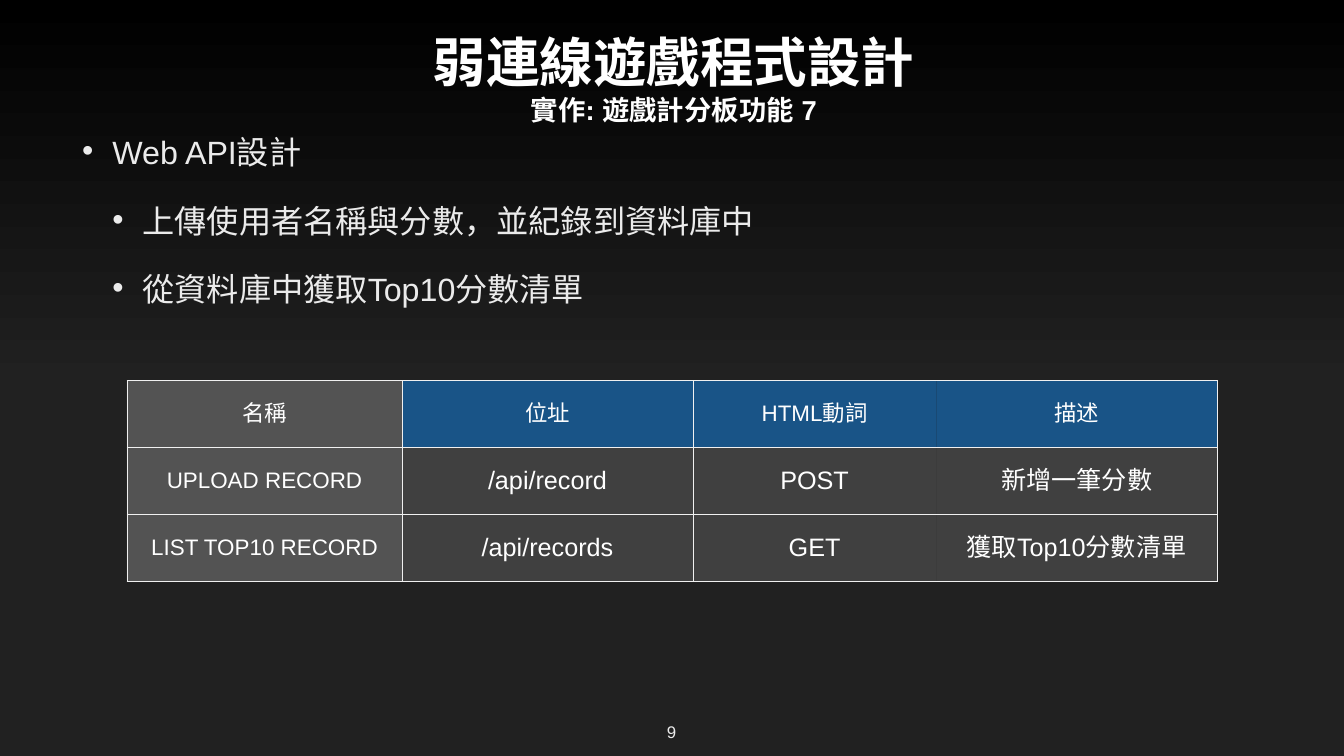
from copy import deepcopy
from dataclasses import dataclass

from lxml import etree
from pptx import Presentation
from pptx import util as u
from pptx.dml.color import RGBColor
from pptx.enum import text
from pptx.oxml.ns import qn

W, H = 26.67, 15
NO_STYLE = "{2D5ABB26-0587-4C30-8999-92F81FD0307C}"


@dataclass(frozen=True)
class Theme:
    """Colours as hex, opacities in percent and type sizes in points."""
    font: str = "Arial"
    top: str = "000000"
    base: str = "212121"
    white: str = "FFFFFF"
    body: str = "EBEBEB"
    rule: str = "F0F0F0"
    header: tuple = ("1861A1", 80)
    label: tuple = ("656565", 75)
    cell: tuple = ("6D6D6D", 41)
    title_pt: float = 76.5
    subtitle_pt: float = 39.1
    body_pt: float = 46
    label_pt: float = 32
    cell_pt: float = 36
    number_pt: float = 24


T = Theme()
ROWS = [
    ["名稱", "位址", "HTML動詞", "描述"],
    ["UPLOAD RECORD", "/api/record", "POST", "新增一筆分數"],
    ["LIST TOP10 RECORD", "/api/records", "GET", "獲取Top10分數清單"],
]
BULLETS = [
    (0, "Web API設計"),
    (1, "上傳使用者名稱與分數，並紀錄到資料庫中"),
    (1, "從資料庫中獲取Top10分數清單"),
]


def write(p, words, size, color=T.white, bold=False, align=text.PP_ALIGN.CENTER):
    """Write one formatted run into a paragraph."""
    p.alignment = align
    r = p.add_run()
    r.text = words
    f = r.font
    f.name, f.size, f.bold = T.font, u.Pt(size), bold
    f.color.rgb = RGBColor.from_string(color)
    etree.SubElement(r._r.get_or_add_rPr(), qn("a:ea"), typeface=T.font)


def add_frame(slide, box, anchor=text.MSO_ANCHOR.MIDDLE, wrap=True):
    """Add a text box and return its text frame."""
    tf = slide.shapes.add_textbox(*map(u.Inches, box)).text_frame
    tf.word_wrap, tf.vertical_anchor = wrap, anchor
    tf.margin_left = tf.margin_right = tf.margin_top = tf.margin_bottom = u.Inches(0.06)
    return tf


def add_background(slide):
    """Fade the slide from black to dark grey over its upper half."""
    fill = slide.background.fill
    fill.gradient()
    fill.gradient_angle = 270
    for stop, color, position in zip(fill.gradient_stops, (T.top, T.base), (0, 0.51)):
        stop.color.rgb = RGBColor.from_string(color)
        stop.position = position
    stops = slide._element.find(".//" + qn("a:gsLst"))
    last = deepcopy(stops[-1])
    last.set("pos", "100000")
    stops.append(last)


def add_title(slide, box):
    """Place the title and its subtitle."""
    tf = add_frame(slide, box)
    write(tf.paragraphs[0], "弱連線遊戲程式設計", T.title_pt, bold=True)
    write(tf.add_paragraph(), "實作: 遊戲計分板功能 7", T.subtitle_pt, bold=True)


def add_bullets(slide, box, indent=0.6):
    """Place the bulleted list with hanging indents."""
    tf = add_frame(slide, box, text.MSO_ANCHOR.TOP)
    for i, (level, words) in enumerate(BULLETS):
        p = tf.add_paragraph() if i else tf.paragraphs[0]
        p.level, p.line_spacing = level, 0.7
        if i:
            p.space_before = u.Pt(59)
        pPr = p._p.get_or_add_pPr()
        pPr.set("marL", str(u.Inches(indent * (level + 1))))
        pPr.set("indent", str(-u.Inches(indent)))
        color = etree.SubElement(pPr, qn("a:buClr"))
        etree.SubElement(color, qn("a:srgbClr"), val=T.body)
        etree.SubElement(pPr, qn("a:buFont"), typeface=T.font)
        etree.SubElement(pPr, qn("a:buChar"), char="•")
        write(p, words, T.body_pt, T.body, align=text.PP_ALIGN.LEFT)


def style_cell(cell, fill, sides):
    """Give a cell a translucent fill and thin rules on the named sides."""
    color, opacity = fill
    cell.fill.solid()
    cell.fill.fore_color.rgb = RGBColor.from_string(color)
    tcPr = cell._tc.get_or_add_tcPr()
    rgb = tcPr.find(".//" + qn("a:srgbClr"))
    etree.SubElement(rgb, qn("a:alpha"), val=str(opacity * 1000))
    for i, side in enumerate(sides):
        ln = etree.Element(qn("a:ln" + side), w=str(u.Pt(1)))
        solid = etree.SubElement(ln, qn("a:solidFill"))
        etree.SubElement(solid, qn("a:srgbClr"), val=T.rule)
        tcPr.insert(i, ln)


def add_api_table(slide, box, widths):
    """Place the API table with a header row and a label column."""
    frame = slide.shapes.add_table(len(ROWS), len(widths), *map(u.Inches, box))
    table = frame.table
    table.first_row = table.horz_banding = False
    table._tbl.tblPr.find(qn("a:tableStyleId")).text = NO_STYLE
    for column, width in zip(table.columns, widths):
        column.width = u.Inches(width)
    for i, row in enumerate(ROWS):
        for j, words in enumerate(row):
            cell = table.cell(i, j)
            cell.vertical_anchor = text.MSO_ANCHOR.MIDDLE
            cell.margin_left = cell.margin_right = u.Inches(0.06)
            cell.margin_top = cell.margin_bottom = u.Inches(0.06)
            fill = T.label if j == 0 else T.header if i == 0 else T.cell
            left = "L" if j < 2 else ""
            right = "R" if j in (0, len(widths) - 1) else ""
            style_cell(cell, fill, left + right + "TB")
            size = T.label_pt if i == 0 or j == 0 else T.cell_pt
            write(cell.text_frame.paragraphs[0], words, size)


def add_page_number(slide, box):
    """Place the page number."""
    tf = add_frame(slide, box, wrap=False)
    write(tf.paragraphs[0], "9", T.number_pt, T.body)


def main():
    """Build and save the slide."""
    prs = Presentation()
    prs.slide_width, prs.slide_height = u.Inches(W), u.Inches(H)
    slide = prs.slides.add_slide(prs.slide_layouts[6])
    widths = (5.46, 5.77, 4.83, 5.57)
    add_background(slide)
    add_title(slide, (1.6, 0.36, 23.54, 2.36))
    add_page_number(slide, (13.17, 14.27, 0.31, 0.5))
    add_api_table(slide, (2.52, 7.55, sum(widths), 1.33 * len(ROWS)), widths)
    add_bullets(slide, (1.57, 2.78, 23.54, 4.71))
    prs.save("out.pptx")


if __name__ == "__main__":
    main()
